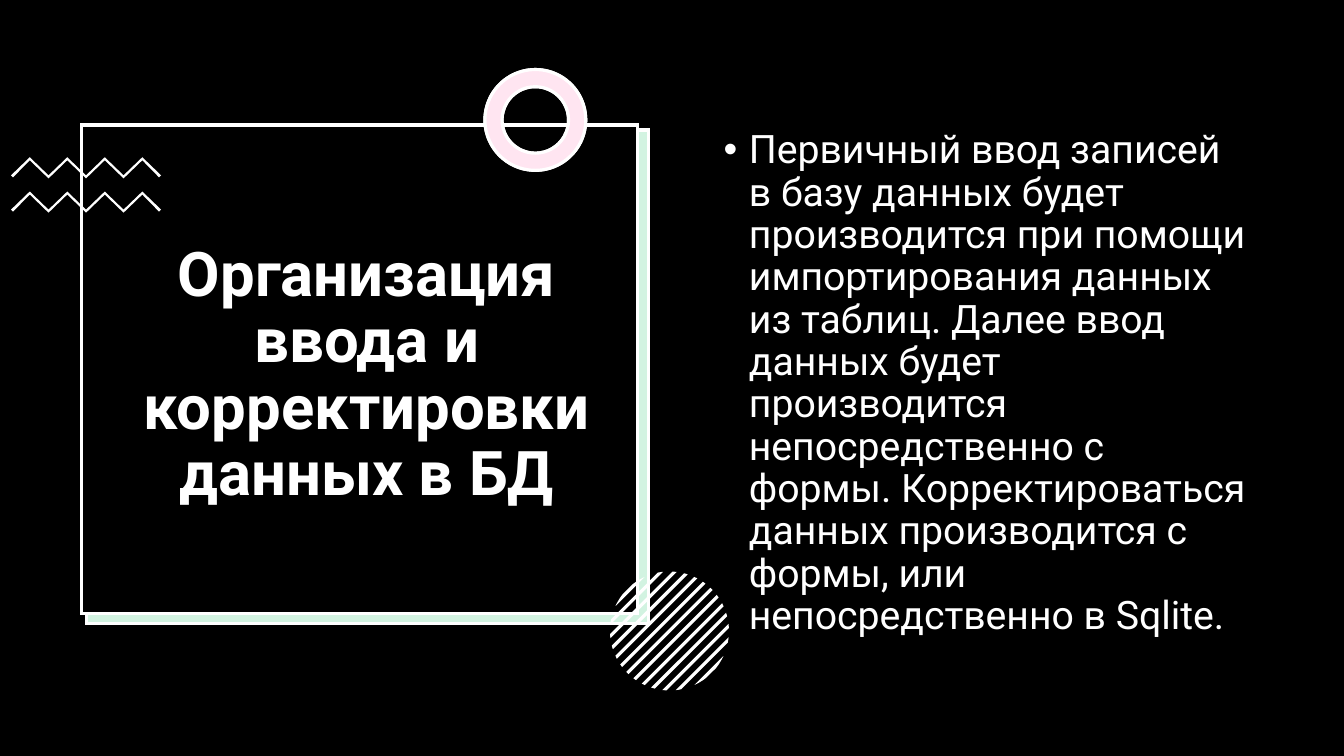
import math

from lxml import etree
from pptx import Presentation
from pptx import util as u
from pptx.dml.color import RGBColor
from pptx.enum import shapes, text
from pptx.oxml.ns import qn

FONT = "Roboto"
BLACK, WHITE, GREEN, PINK = "000000", "FFFFFF", "21C46B", "FF80BD"
TITLE = "Организация ввода и корректировки данных в БД"
BODY = ("Первичный ввод записей в базу данных будет производится при помощи "
        "импортирования данных из таблиц. Далее ввод данных будет производится "
        "непосредственно с формы. Корректироваться данных производится с формы, "
        "или непосредственно в Sqlite.")


def paint(color_fill, color, opacity=100):
    """Make a fill solid in a hex colour, with an opacity in percent."""
    color_fill.solid()
    color_fill.fore_color.rgb = RGBColor.from_string(color)
    if opacity < 100:
        srgb = color_fill._xPr.find(".//" + qn("a:srgbClr"))
        etree.SubElement(srgb, qn("a:alpha"), val=str(opacity * 1000))


def style(shape, color, opacity=100, outlined=False):
    """Give a shape its fill, an optional white outline and no shadow."""
    shape.shadow.inherit = False
    paint(shape.fill, color, opacity)
    if outlined:
        paint(shape.line.fill, WHITE)
        shape.line.width = u.Pt(2.25)
        outline = shape.line._get_or_add_ln()
        etree.SubElement(outline, qn("a:miter"), lim="800000")
    else:
        shape.line.fill.background()


def add_preset(slide, kind, box, color, opacity=100, outlined=False):
    """Add a preset shape in a box given in inches."""
    shape = slide.shapes.add_shape(kind, *map(u.Inches, box))
    style(shape, color, opacity, outlined)
    return shape


def add_polygon(container, points):
    """Add a closed white polygon through points given in inches."""
    corners = [(u.Inches(x), u.Inches(y)) for x, y in points]
    builder = container.shapes.build_freeform(*corners[0])
    builder.add_line_segments(corners[1:], close=True)
    style(builder.convert_to_shape(), WHITE)


def add_zigzags(slide):
    """Add the two thin zigzag bands, one below the other."""
    group = slide.shapes.add_group_shape()
    for top in (1.56, 1.9):
        upper = [(0.11 + 0.186 * i, top + (0 if i % 2 else 0.18))
                 for i in range(9)]
        lower = [(x, y + 0.03) for x, y in upper[-2:0:-1]]
        (left, y), (right, _) = upper[0], upper[-1]
        add_polygon(group, upper + [(right - 0.02, y + 0.02)] + lower
                    + [(left + 0.02, y + 0.02)])


def add_striped_disc(slide, center_x, center_y, radius):
    """Add 13 diagonal stripes, each cut off by the circle."""
    group = slide.shapes.add_group_shape()
    pitch, half_width, steps = 0.095, 0.016, 6
    for index in range(-6, 7):
        start, end = (math.acos((index * pitch + side) / radius)
                      for side in (-half_width, half_width))
        arc = [start + (end - start) * i / steps for i in range(steps + 1)]
        angles = arc + [-angle for angle in reversed(arc)]
        add_polygon(group, [
            (center_x + radius * math.cos(angle + math.pi / 4),
             center_y + radius * math.sin(angle + math.pi / 4))
            for angle in angles])


def add_text(slide, box, words, size, anchor, bold=False):
    """Add a wrapped text box with one white paragraph and return it."""
    frame = slide.shapes.add_textbox(*map(u.Inches, box)).text_frame
    frame.word_wrap = True
    frame.vertical_anchor = anchor
    paragraph = frame.paragraphs[0]
    paragraph.line_spacing = 0.9
    run = paragraph.add_run()
    run.text = words
    run.font.name, run.font.size, run.font.bold = FONT, u.Pt(size), bold
    paint(run.font.fill, WHITE)
    return paragraph


def add_bullet(paragraph):
    """Give a paragraph a round bullet with a hanging indent."""
    properties = paragraph._p.get_or_add_pPr()
    properties.set("marL", str(u.Inches(0.25)))
    properties.set("indent", str(u.Inches(-0.25)))
    etree.SubElement(properties, qn("a:buFont"), typeface="Arial")
    etree.SubElement(properties, qn("a:buChar"), char="•")


def main():
    """Build the slide and save it."""
    presentation = Presentation()
    presentation.slide_width = u.Inches(13.33)
    presentation.slide_height = u.Inches(7.5)
    slide = presentation.slides.add_slide(presentation.slide_layouts[6])
    paint(slide.background.fill, BLACK)

    rectangle = shapes.MSO_SHAPE.RECTANGLE
    add_preset(slide, rectangle, (0, 0, 13.33, 7.5), BLACK)
    add_preset(slide, rectangle, (0.85, 1.3, 5.57, 4.9), WHITE)
    add_preset(slide, rectangle, (0.86, 1.29, 5.57, 4.9), GREEN, 20, True)
    add_preset(slide, rectangle, (0.81, 1.24, 5.51, 4.85), BLACK, 100, True)
    add_zigzags(slide)
    for color, opacity in ((WHITE, 100), (PINK, 20)):
        ring = add_preset(slide, shapes.MSO_SHAPE.DONUT, (4.81, 0.69, 1, 1),
                          color, opacity, True)
        ring.adjustments[0] = 0.17
    add_striped_disc(slide, 6.64, 6.26, 0.59)

    title = add_text(slide, (0.92, 1.52, 5.44, 4.42), TITLE, 44,
                     text.MSO_ANCHOR.MIDDLE, True)
    title.alignment = text.PP_ALIGN.CENTER
    body = add_text(slide, (7.08, 1.24, 5.44, 4.76), BODY, 28,
                    text.MSO_ANCHOR.TOP)
    body.space_before = u.Pt(10)
    add_bullet(body)
    presentation.save("out.pptx")


main()
